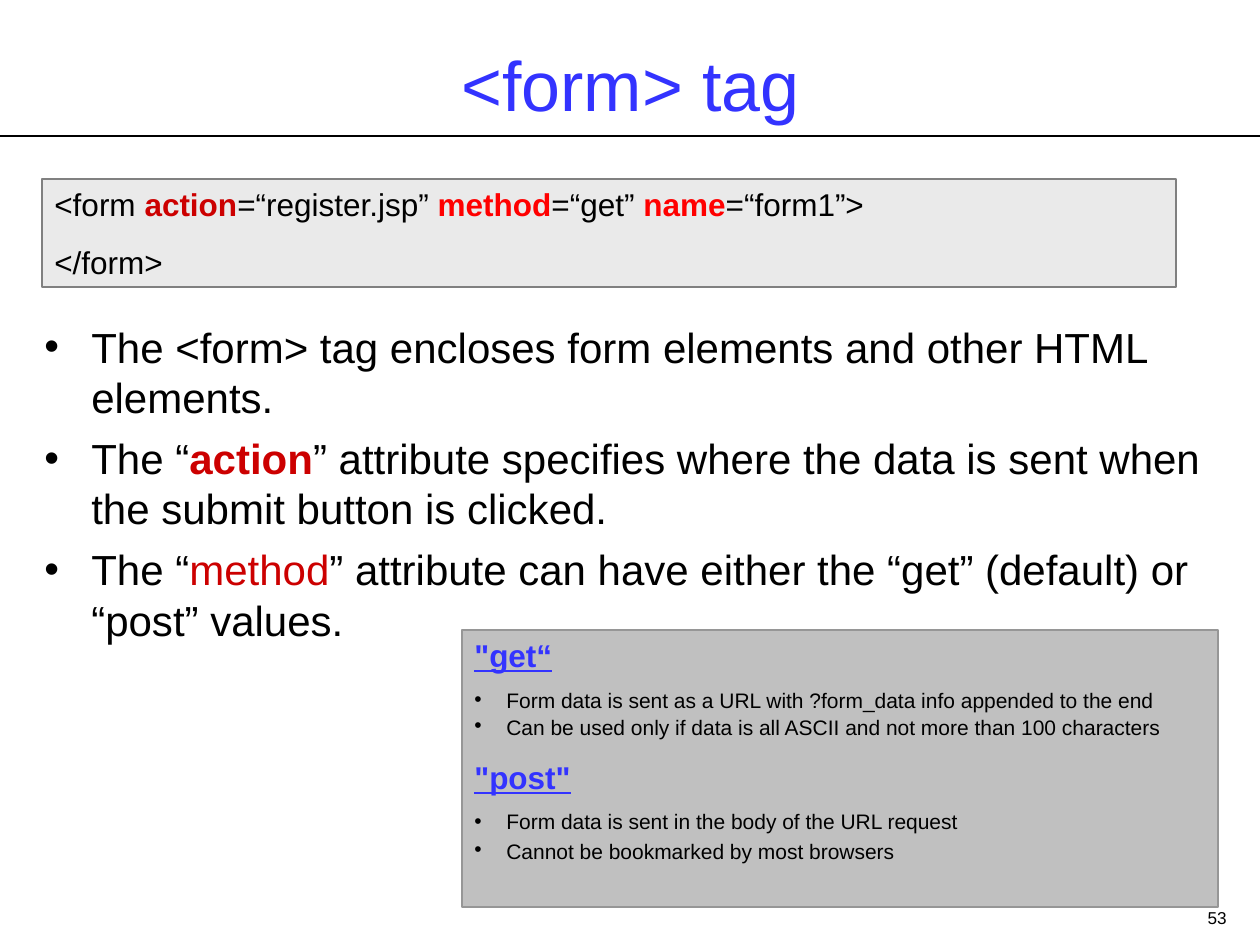
from dataclasses import dataclass
from typing import Optional

from lxml import etree
from pptx import Presentation
from pptx.dml.color import RGBColor
from pptx.enum.shapes import MSO_CONNECTOR, MSO_SHAPE
from pptx.enum.text import MSO_ANCHOR, PP_ALIGN
from pptx.oxml.ns import qn
from pptx.util import Emu, Pt

STRAIGHT = MSO_CONNECTOR.STRAIGHT
RECTANGLE = MSO_SHAPE.RECTANGLE
TOP, MIDDLE = MSO_ANCHOR.TOP, MSO_ANCHOR.MIDDLE
LEFT, CENTER, RIGHT = PP_ALIGN.LEFT, PP_ALIGN.CENTER, PP_ALIGN.RIGHT

FONT = "Arial"
BLACK = RGBColor(0x00, 0x00, 0x00)
BLUE = RGBColor(0x33, 0x33, 0xFF)
DARK_RED = RGBColor(0xCC, 0x00, 0x00)
RED = RGBColor(0xFF, 0x00, 0x00)
CODE_FILL = RGBColor(0xEA, 0xEA, 0xEA)
CODE_LINE = RGBColor(0x80, 0x80, 0x80)
NOTE_FILL = RGBColor(0xC0, 0xC0, 0xC0)
NOTE_LINE = RGBColor(0x96, 0x96, 0x96)

PX_PER_INCH = 126


@dataclass
class Run:
    text: str
    color: RGBColor = BLACK
    bold: bool = False
    underline: bool = False


@dataclass
class Para:
    runs: list[Run]
    size: float
    before: float = 0
    indent: int = 0
    bullet: bool = False
    spacing: Optional[float] = None
    align: PP_ALIGN = LEFT


@dataclass
class Box:
    x: int
    y: int
    w: int
    h: int
    paras: list[Para]
    fill: Optional[RGBColor] = None
    line: Optional[RGBColor] = None
    anchor: MSO_ANCHOR = TOP


def px(n: int) -> Emu:
    return Emu(round(n * 914400 / PX_PER_INCH))


def add_para(p, para: Para, first: bool) -> None:
    p.alignment = para.align
    if para.before and not first:
        p.space_before = Pt(para.before)
    if para.spacing:
        p.line_spacing = para.spacing
    pPr = p._p.get_or_add_pPr()
    if para.indent:
        pPr.set("marL", str(px(para.indent)))
        pPr.set("indent", str(-px(para.indent)))
    if para.bullet:
        color = etree.SubElement(pPr, qn("a:buClr"))
        etree.SubElement(color, qn("a:srgbClr")).set("val", str(BLACK))
        etree.SubElement(pPr, qn("a:buFont")).set("typeface", FONT)
        etree.SubElement(pPr, qn("a:buChar")).set("char", "•")
    for run in para.runs:
        r = p.add_run()
        r.text = run.text
        r.font.name = FONT
        r.font.size = Pt(para.size)
        r.font.color.rgb = run.color
        r.font.bold = run.bold
        r.font.underline = run.underline


def add_box(s, box: Box) -> None:
    frame = px(box.x), px(box.y), px(box.w), px(box.h)
    if box.fill is None:
        sp = s.shapes.add_textbox(*frame)
    else:
        sp = s.shapes.add_shape(RECTANGLE, *frame)
        sp.shadow.inherit = False
        sp.fill.solid()
        sp.fill.fore_color.rgb = box.fill
        sp.line.color.rgb = box.line
        sp.line.width = Pt(0.75)
    tf = sp.text_frame
    tf.word_wrap = True
    tf.vertical_anchor = box.anchor
    for i, para in enumerate(box.paras):
        add_para(tf.add_paragraph() if i else tf.paragraphs[0], para, i == 0)


def add_rule(s, y: int, width: int) -> None:
    line = s.shapes.add_connector(STRAIGHT, px(0), px(y), px(width), px(y))
    line.line.color.rgb = BLACK
    line.line.width = Pt(0.75)
    etree.SubElement(line._element.spPr, qn("a:effectLst"))


def code(*runs: Run) -> Para:
    return Para(list(runs), 18, before=11.2)


def point(*runs: Run) -> Para:
    return Para(list(runs), 24, before=6, indent=47, bullet=True)


def heading(text: str) -> Para:
    return Para([Run(text, BLUE, True, True)], 18, before=11.2, indent=32)


def detail(text: str, spacing: Optional[float] = None) -> Para:
    return Para([Run(text)], 12, before=7.5, indent=32, bullet=True, spacing=spacing)


BOXES = [
    Box(945, 901, 294, 34, [Para([Run("53")], 9.8, align=RIGHT)]),
    Box(32, 21, 1197, 126, [Para([Run("<form> tag", BLUE)], 40, align=CENTER)],
        anchor=MIDDLE),
    Box(42, 179, 1134, 108, [
        code(Run("<form "), Run("action", DARK_RED, True),
             Run("=“register.jsp” "), Run("method", RED, True),
             Run("=“get” "), Run("name", RED, True), Run("=“form1”>")),
        code(Run("</form>")),
    ], CODE_FILL, CODE_LINE),
    Box(32, 315, 1197, 567, [
        point(Run("The <form> tag encloses form elements and other HTML elements.")),
        point(Run("The “"), Run("action", DARK_RED, True),
              Run("” attribute specifies where the data is sent when "
                  "the submit button is clicked.")),
        point(Run("The “"), Run("method", DARK_RED),
              Run("” attribute can have either the “get” (default) or “post” values.")),
    ]),
    Box(462, 630, 756, 277, [
        heading('"get“'),
        detail("Form data is sent as a URL with ?form_data info appended to the end"),
        detail("Can be used only if data is all ASCII and not more than 100 characters", 0.5),
        heading('"post"'),
        detail("Form data is sent in the body of the URL request"),
        detail("Cannot be bookmarked by most browsers", 0.6),
    ], NOTE_FILL, NOTE_LINE),
]


def main() -> None:
    prs = Presentation()
    prs.slide_width, prs.slide_height = px(1260), px(945)
    s = prs.slides.add_slide(prs.slide_layouts[6])
    add_rule(s, 136, 1260)
    for box in BOXES:
        add_box(s, box)
    prs.save("out.pptx")


if __name__ == "__main__":
    main()
